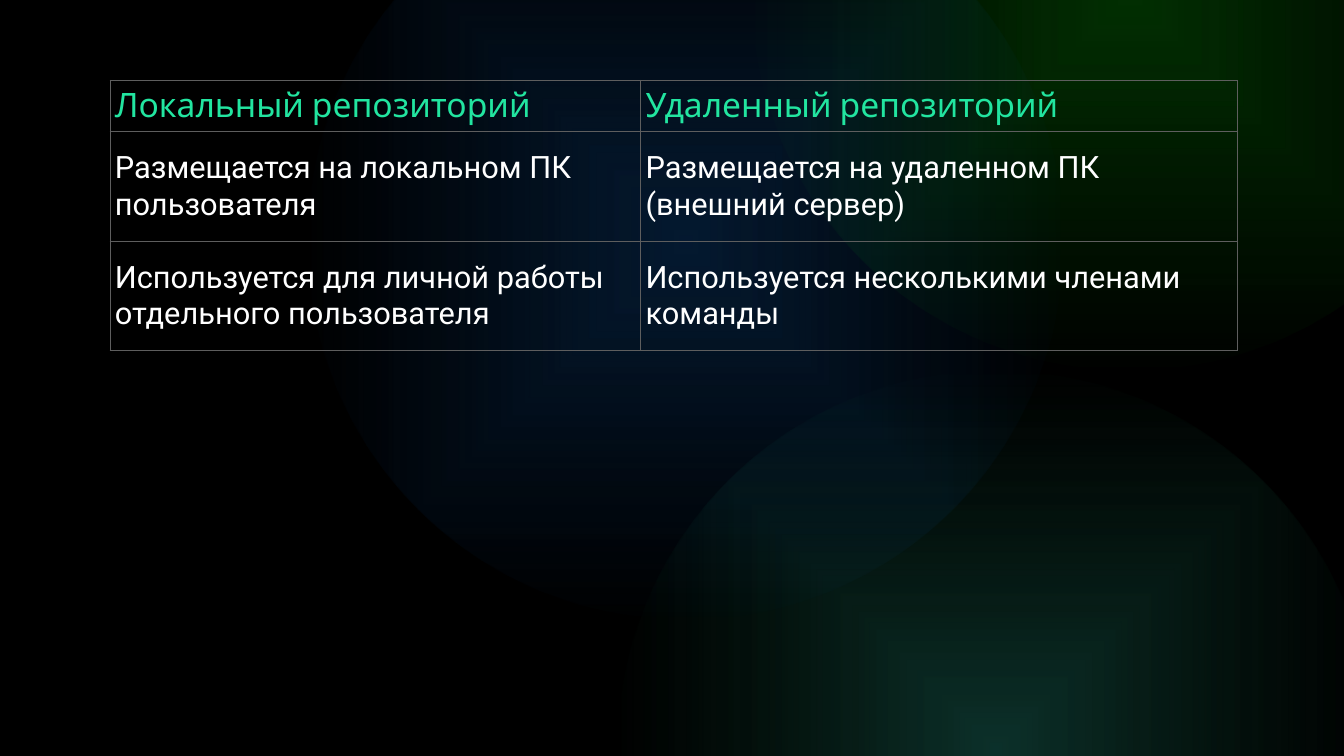
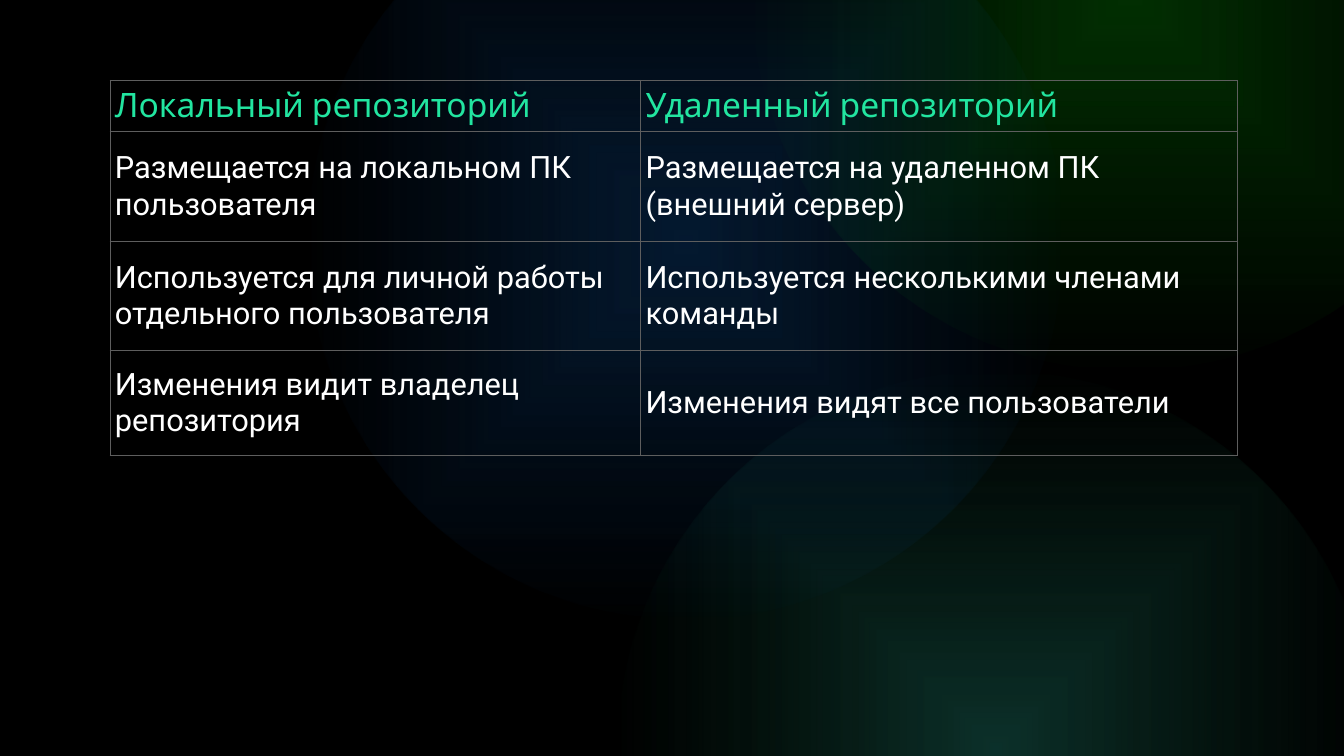
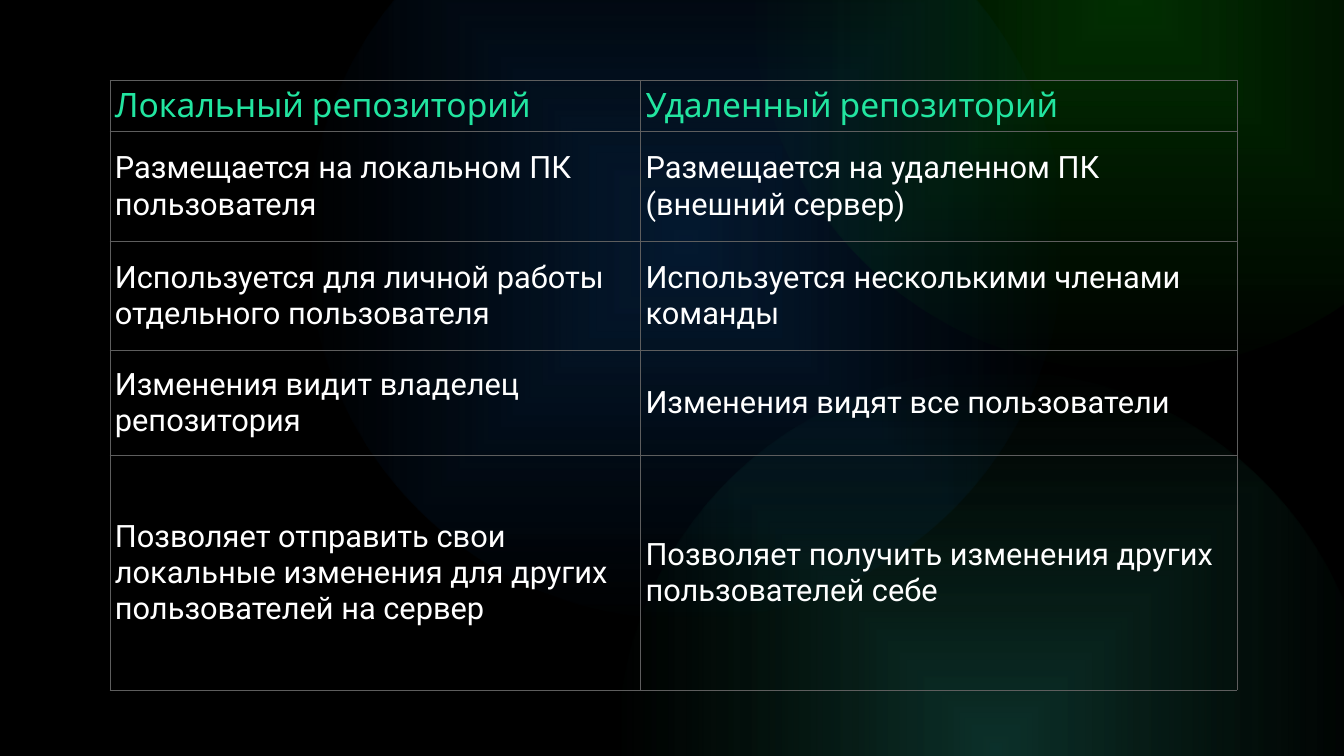
from lxml import etree
from pptx import Presentation
from pptx.dml.color import RGBColor
from pptx.enum.shapes import MSO_SHAPE
from pptx.enum.text import MSO_ANCHOR
from pptx.oxml import parse_xml
from pptx.oxml.ns import nsdecls
from pptx.util import Inches, Pt

ELLIPSE = MSO_SHAPE.OVAL
MIDDLE = MSO_ANCHOR.MIDDLE
BLANK_LAYOUT = 6

BLACK, WHITE, BORDER = "000000", "FFFFFF", "5E5E5E"
HEADER_STOPS = [(0, "34E234", 100), (51, "22E5A0", 100), (100, "5AB0FF", 100)]
HEADER_DIRECTION = '<a:lin ang="0" scaled="0"/>'
GLOW_DIRECTION = ('<a:path path="shape">'
                  '<a:fillToRect l="50000" t="50000" r="50000" b="50000"/></a:path>')

GLOW_SIZE = 15
# left, top, inner colour, outer colour
GLOWS = [
    (14.91, -7.64, "08BC08", "08BC08"),
    (12.25, 7.36, "31C2A7", "209F6D"),
    (6.1, -2.7, "1164C0", "1164C0"),
]

TABLE_LEFT, TABLE_TOP = 2.18, 1.59
COLUMN_WIDTHS = [10.53, 11.84]
ROW_HEIGHTS = [1.02, 2.18, 2.16, 2.09, 4.65]
COMPARISON = [
    ("Локальный репозиторий", "Удаленный репозиторий"),
    ("Размещается на локальном ПК пользователя",
     "Размещается на удаленном ПК (внешний сервер)"),
    ("Используется для личной работы отдельного пользователя",
     "Используется несколькими членами команды"),
    ("Изменения видит владелец репозитория", "Изменения видят все пользователи"),
    ("Позволяет отправить свои локальные изменения для других пользователей на сервер",
     "Позволяет получить изменения других пользователей себе"),
]
ROWS_PER_SLIDE = [3, 4, 5]


def color(hex_string):
    return RGBColor.from_string(hex_string)


def gradient(stops, direction):
    """Return a gradient fill element; stops are (position, colour, opacity)."""
    stop_xml = "".join(
        f'<a:gs pos="{position * 1000}"><a:srgbClr val="{hex_string}">'
        f'<a:alpha val="{opacity * 1000}"/></a:srgbClr></a:gs>'
        for position, hex_string, opacity in stops)
    return parse_xml(f'<a:gradFill {nsdecls("a")} rotWithShape="1">'
                     f'<a:gsLst>{stop_xml}</a:gsLst>{direction}</a:gradFill>')


def add_glows(master, slide):
    """Draw the glowing circles and move them to the master shared by all slides."""
    for left, top, inner, outer in GLOWS:
        glow = slide.shapes.add_shape(ELLIPSE, Inches(left), Inches(top),
                                      Inches(GLOW_SIZE), Inches(GLOW_SIZE))
        glow.shadow.inherit = False
        glow.line.fill.background()
        glow.fill.background()
        properties = glow.element.spPr
        no_fill = properties.find("a:noFill", properties.nsmap)
        stops = [(0, inner, 25), (100, outer, 0)]
        properties.replace(no_fill, gradient(stops, GLOW_DIRECTION))
        master.shapes.element.append(glow.element)


def set_borders(cell):
    cell_properties = cell._tc.get_or_add_tcPr()
    for side in ("lnL", "lnR", "lnT", "lnB"):
        line = etree.SubElement(cell_properties, f"{{{cell_properties.nsmap['a']}}}{side}",
                                w=str(Pt(1)))
        line.append(parse_xml(f'<a:solidFill {nsdecls("a")}>'
                              f'<a:srgbClr val="{BORDER}"/></a:solidFill>'))


def fill_cell(cell, text, is_header):
    cell.text = text
    cell.vertical_anchor = MIDDLE
    set_borders(cell)
    cell.fill.background()
    font = cell.text_frame.paragraphs[0].font
    font.bold = False
    if is_header:
        font.size, font.name = Pt(48), "Karla"
        font._element.insert(0, gradient(HEADER_STOPS, HEADER_DIRECTION))
    else:
        font.size, font.name = Pt(44), "Roboto"
        font.color.rgb = color(WHITE)


def add_comparison(slide, left, top, rows):
    heights = ROW_HEIGHTS[:len(rows)]
    frame = slide.shapes.add_table(len(rows), len(COLUMN_WIDTHS), Inches(left), Inches(top),
                                   Inches(sum(COLUMN_WIDTHS)), Inches(sum(heights)))
    table = frame.table
    table.first_row = table.horz_banding = False
    for column, width in zip(table.columns, COLUMN_WIDTHS):
        column.width = Inches(width)
    for row_index, (texts, height) in enumerate(zip(rows, heights)):
        table.rows[row_index].height = Inches(height)
        for column_index, text in enumerate(texts):
            fill_cell(table.cell(row_index, column_index), text, row_index == 0)


def main():
    presentation = Presentation()
    presentation.slide_width = Inches(26.67)
    presentation.slide_height = Inches(15)
    master = presentation.slide_master
    master.background.fill.solid()
    master.background.fill.fore_color.rgb = color(BLACK)

    for row_count in ROWS_PER_SLIDE:
        slide = presentation.slides.add_slide(presentation.slide_layouts[BLANK_LAYOUT])
        add_comparison(slide, TABLE_LEFT, TABLE_TOP, COMPARISON[:row_count])
    add_glows(master, presentation.slides[0])

    presentation.save("out.pptx")


if __name__ == "__main__":
    main()
